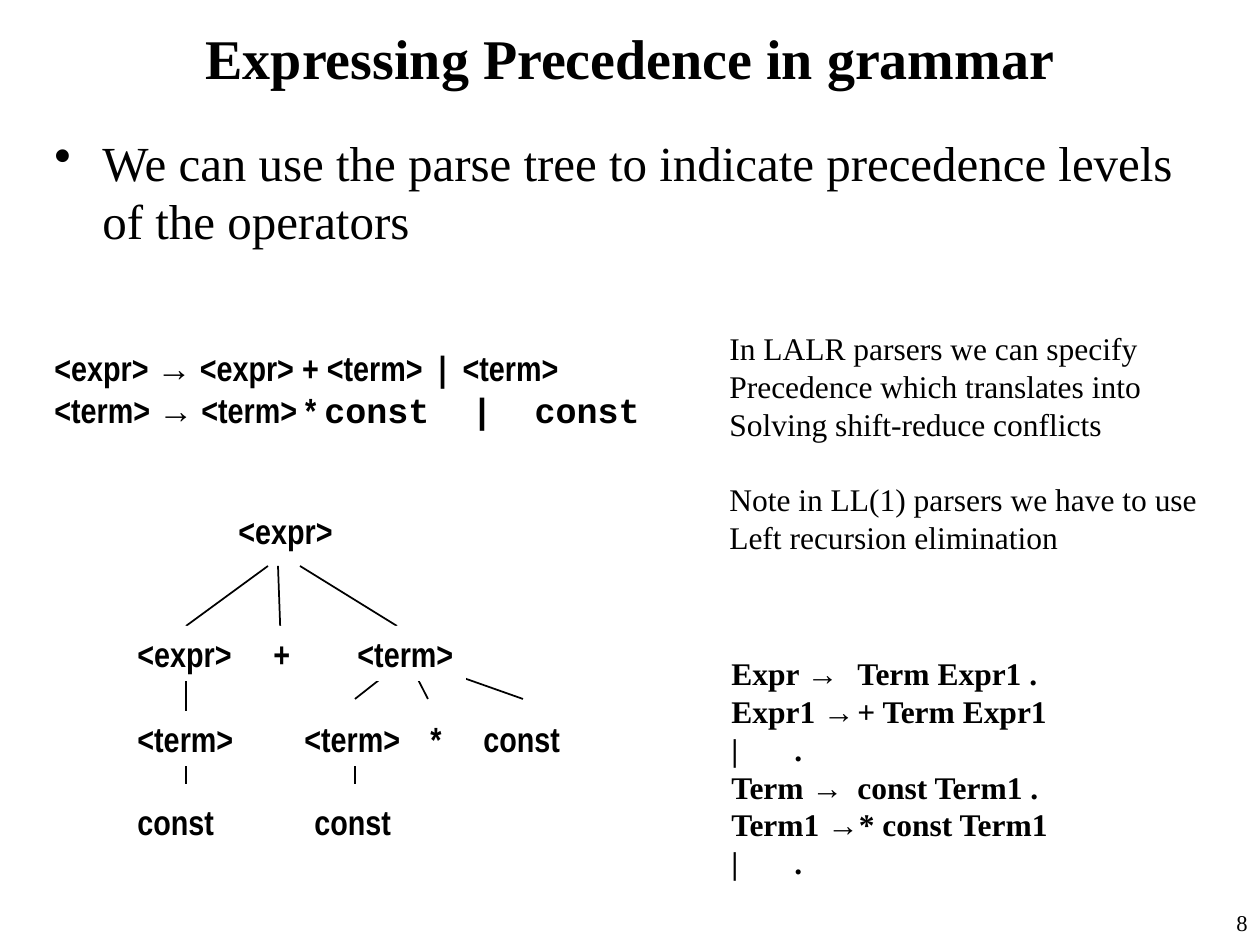
from lxml import etree
from pptx import Presentation
from pptx import util as u
from pptx.dml.color import RGBColor
from pptx.enum import shapes, text
from pptx.oxml import ns

BLACK = RGBColor(0, 0, 0)
WHITE = RGBColor(255, 255, 255)
SERIF, NARROW, SANS, MONO = "Times New Roman", "Arial Narrow", "Arial", "Courier New"
SCALE = 914400 / 126


def px(length):
    return u.Emu(round(length * SCALE))


def write(shape, lines, font=SERIF, size=18, bold=False, wrap=True,
          align=text.PP_ALIGN.LEFT, anchor=text.MSO_ANCHOR.TOP):
    frame = shape.text_frame
    frame.word_wrap = wrap
    frame.vertical_anchor = anchor
    for index, line in enumerate(lines):
        para = frame.paragraphs[0] if index == 0 else frame.add_paragraph()
        para.alignment = align
        para.font.size = u.Pt(size)
        for words, face in [(line, font)] if isinstance(line, str) else line:
            span = para.add_run()
            span.text = words
            span.font.name = face
            span.font.size = u.Pt(size)
            span.font.bold = bold
            span.font.color.rgb = BLACK
    return frame


def add_text(page, box, lines, **style):
    return write(page.shapes.add_textbox(*map(px, box)), lines, **style)


def add_bullet(page, box, words):
    para = add_text(page, box, [words], size=28).paragraphs[0]
    para.space_before = u.Pt(7)
    props = para._p.get_or_add_pPr()
    props.set("marL", str(px(48)))
    props.set("indent", str(px(-48)))
    etree.SubElement(props, ns.qn("a:buChar")).set("char", "•")


def add_grammar(page, box):
    rules = [
        [("<expr> ", NARROW), ("→", SANS), (" <expr> + <term>  |  <term>", NARROW)],
        [("<term> ", NARROW), ("→", SANS), (" <term> * ", NARROW),
         ("const  |  const", MONO)],
    ]
    add_text(page, box, rules, size=20, bold=True)


def add_branch(tree, start, end):
    branch = tree.shapes.add_connector(shapes.MSO_CONNECTOR.STRAIGHT, *map(px, start + end))
    branch.line.color.rgb = BLACK
    branch.line.width = u.Pt(1)
    etree.SubElement(branch._element.spPr, ns.qn("a:effectLst"))


def add_node(tree, label, left, top, width):
    node = tree.shapes.add_shape(shapes.MSO_SHAPE.RECTANGLE,
                                 *map(px, (left, top, width, 55)))
    node.shadow.inherit = False
    node.fill.solid()
    node.fill.fore_color.rgb = WHITE
    node.line.fill.background()
    write(node, [label], font=NARROW, size=20, bold=True, wrap=False)


def add_parse_tree(page, left, top):
    tree = page.shapes.add_group_shape()
    widths = {"<expr>": 120, "<term>": 121, "const": 102, "*": 37, "+": 42}
    levels = {
        0: [("<expr>", 101)],
        123: [("<expr>", 0), ("<term>", 220), ("+", 136)],
        208: [("<term>", 0), ("<term>", 167), ("const", 346), ("*", 293)],
        291: [("const", 0), ("const", 177)],
    }
    branches = [
        (143, 63, 61, 123), (175, 63, 272, 123), (153, 63, 156, 145),
        (61, 163, 61, 208), (61, 228, 61, 281), (230, 228, 230, 281),
        (282, 155, 230, 196), (282, 155, 398, 196), (282, 155, 303, 196),
    ]
    for x1, y1, x2, y2 in branches:
        add_branch(tree, (left + x1, top + y1), (left + x2, top + y2))
    for depth, nodes in levels.items():
        for label, offset in nodes:
            add_node(tree, label, left + offset, top + depth, widths[label])


def add_parser_notes(page, left, top):
    remarks = [
        ["In LALR parsers we can specify", "Precedence which translates into",
         "Solving shift-reduce conflicts"],
        ["Note in LL(1) parsers we have to use", "Left recursion elimination"],
    ]
    for offset, lines in zip((0, 151), remarks):
        add_text(page, (left, top + offset, 493, 38 * len(lines) + 13), lines, wrap=False)


def add_productions(page, box):
    lines = ["Expr →\tTerm Expr1 .", "Expr1 →\t+ Term Expr1", "|\t.",
             "Term →\tconst Term1 .", "Term1 →* const Term1", "|\t."]
    add_text(page, box, lines, bold=True, wrap=False)


def build_slide(deck):
    page = deck.slides.add_slide(deck.slide_layouts[6])
    add_text(page, (32, 10, 1197, 95), ["Expressing Precedence in grammar"], size=32,
             bold=True, align=text.PP_ALIGN.CENTER, anchor=text.MSO_ANCHOR.MIDDLE)
    add_bullet(page, (42, 126, 1187, 140),
               "We can use the parse tree to indicate precedence levels of the operators")
    add_grammar(page, (42, 340, 640, 100))
    add_parse_tree(page, 125, 503)
    add_parser_notes(page, 717, 323)
    add_productions(page, (719, 648, 344, 239))
    add_text(page, (1166, 903, 94, 42), ["8"], size=12.9, align=text.PP_ALIGN.RIGHT)


deck = Presentation()
deck.slide_width, deck.slide_height = px(1260), px(945)
build_slide(deck)
deck.save("out.pptx")
